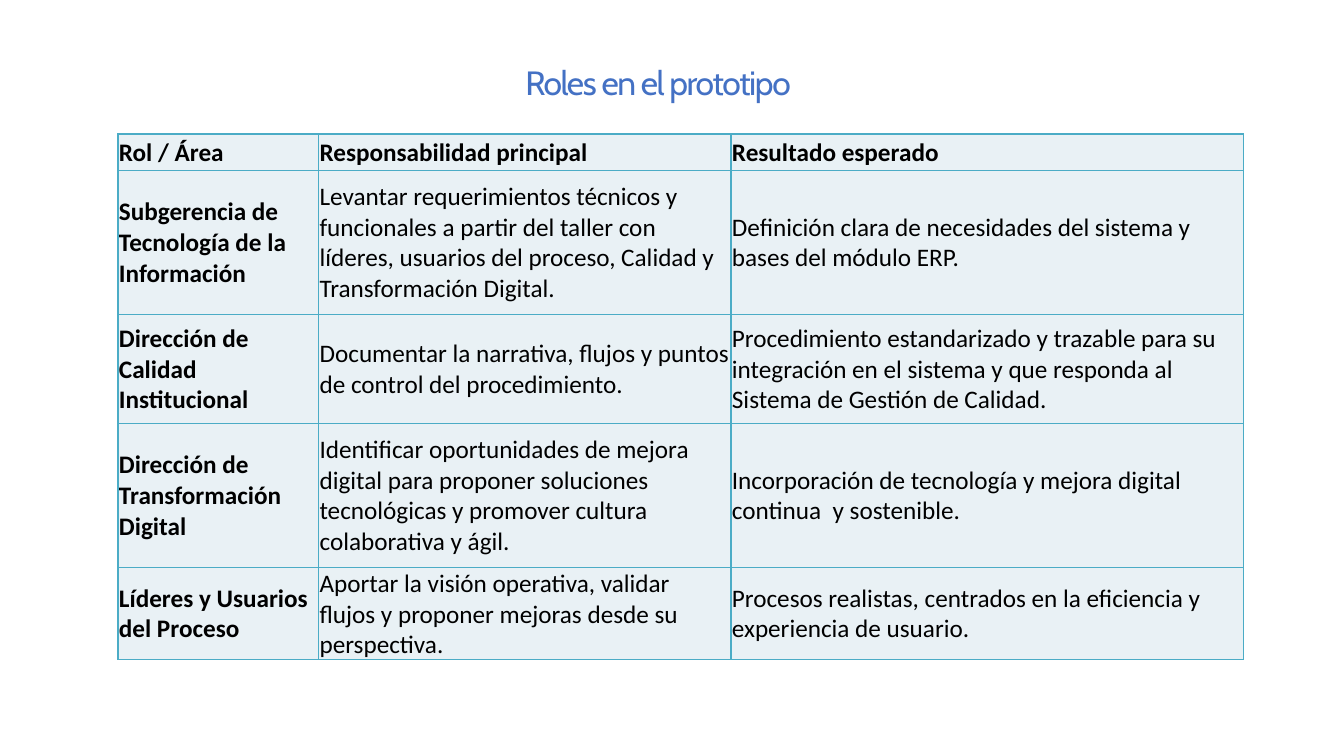
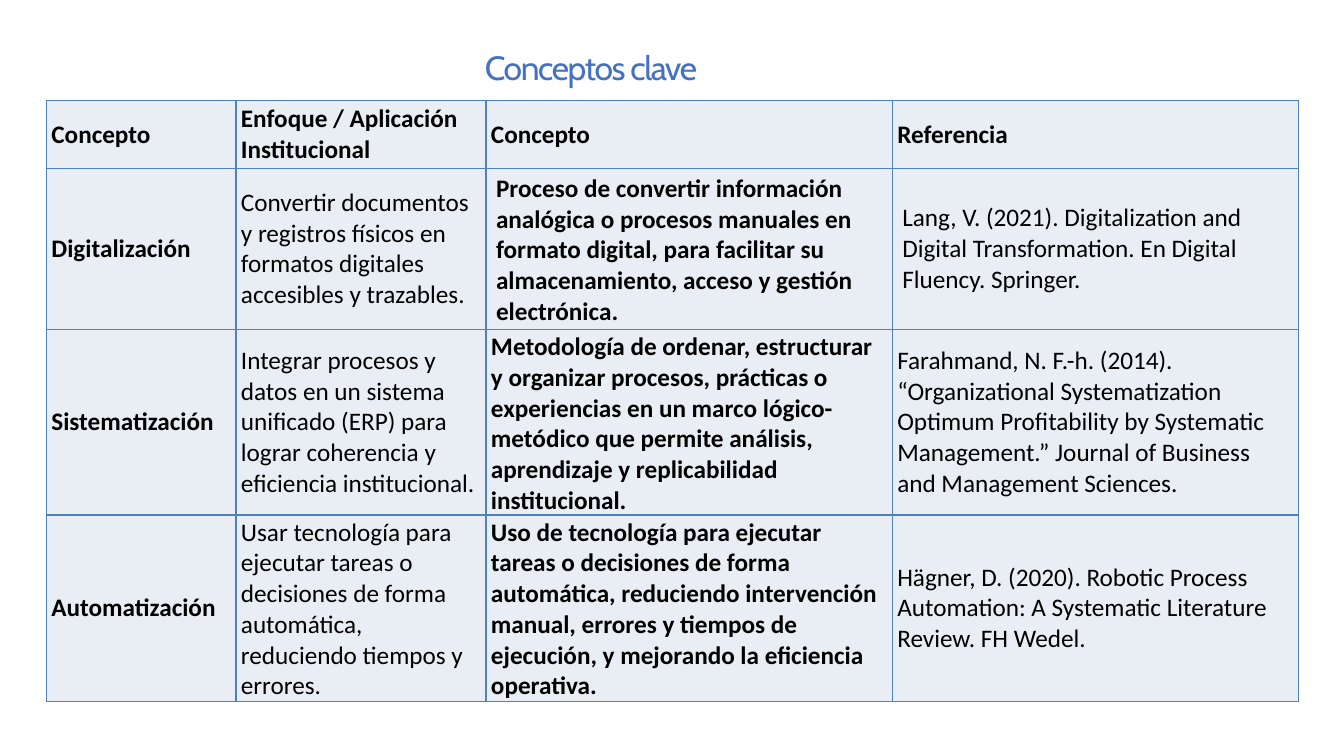
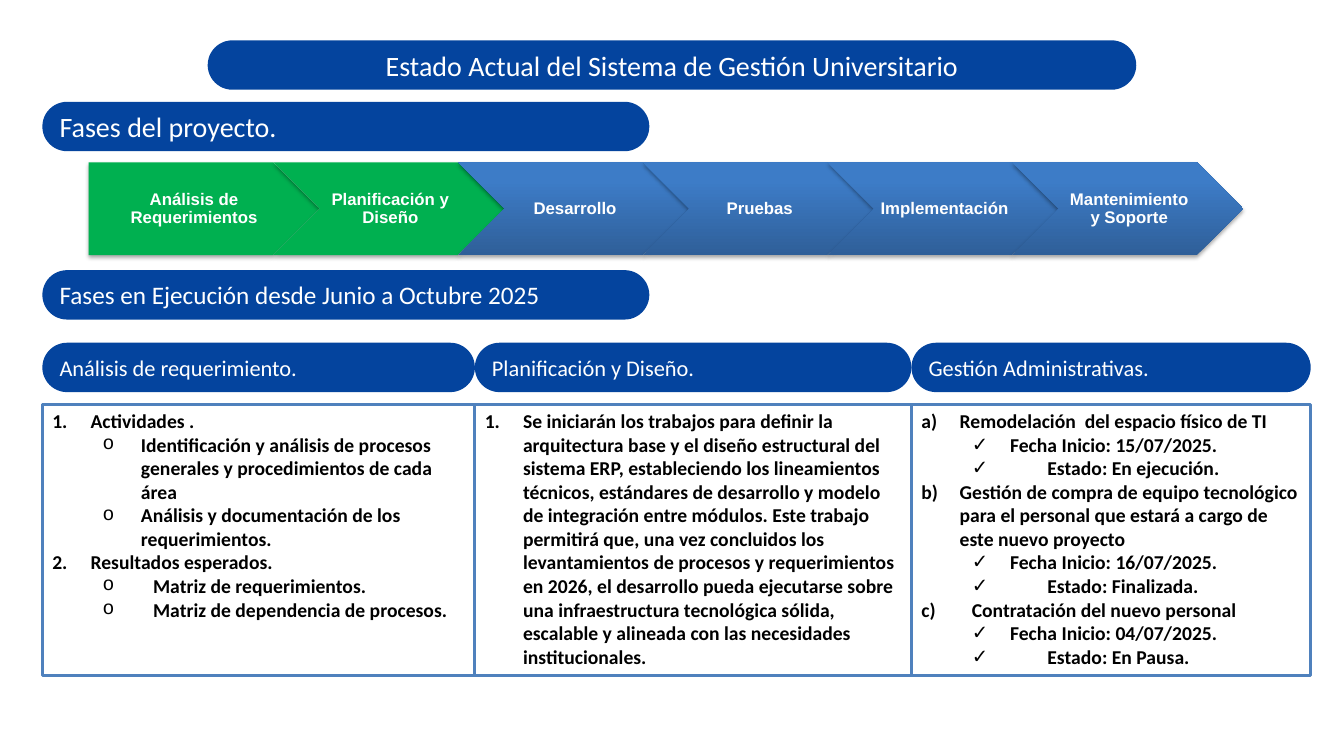
from lxml.etree import SubElement
from pptx import Presentation
from pptx.dml.color import RGBColor
from pptx.enum.shapes import MSO_SHAPE
from pptx.enum.text import MSO_ANCHOR, PP_ALIGN
from pptx.oxml import parse_xml
from pptx.oxml.ns import nsdecls, qn
from pptx.util import Inches, Pt

COLORS = {
    "title": "4471C4", "text": "000000", "white": "FFFFFF",
    "pill": "04449E", "border": "4F81BD", "done": "00B050",
    "pending_dark": "2F5F99", "pending_light": "3D7CC7",
    "roles_fill": "E9F1F5", "roles_border": "4BACC6", "concepts_fill": "E9EDF4",
}

ROLES = [
    ("Rol / Área", "Responsabilidad principal", "Resultado esperado"),
    ("Subgerencia de Tecnología de la Información",
     "Levantar requerimientos técnicos y funcionales a partir del taller con líderes, usuarios del proceso, Calidad y Transformación Digital.",
     "Definición clara de necesidades del sistema y bases del módulo ERP."),
    ("Dirección de Calidad Institucional",
     "Documentar la narrativa, flujos y puntos de control del procedimiento.",
     "Procedimiento estandarizado y trazable para su integración en el sistema y que responda al Sistema de Gestión de Calidad."),
    ("Dirección de Transformación Digital",
     "Identificar oportunidades de mejora digital para proponer soluciones tecnológicas y promover cultura colaborativa y ágil.",
     "Incorporación de tecnología y mejora digital continua  y sostenible."),
    ("Líderes y Usuarios del Proceso",
     "Aportar la visión operativa, validar flujos y proponer mejoras desde su perspectiva.",
     "Procesos realistas, centrados en la eficiencia y experiencia de usuario."),
]

CONCEPTS = [
    ("Concepto", "Enfoque / Aplicación Institucional", "Concepto", "Referencia"),
    ("Digitalización",
     "Convertir documentos y registros físicos en formatos digitales accesibles y trazables.",
     "Proceso de convertir información analógica o procesos manuales en formato digital, para facilitar su almacenamiento, acceso y gestión electrónica.",
     "Lang, V. (2021). Digitalization and Digital Transformation. En Digital Fluency. Springer."),
    ("Sistematización",
     "Integrar procesos y datos en un sistema unificado (ERP) para lograr coherencia y eficiencia institucional.",
     "Metodología de ordenar, estructurar y organizar procesos, prácticas o experiencias en un marco lógico-metódico que permite análisis, aprendizaje y replicabilidad institucional.",
     "Farahmand, N. F.-h. (2014). “Organizational Systematization Optimum Profitability by Systematic Management.” Journal of Business and Management Sciences."),
    ("Automatización",
     "Usar tecnología para ejecutar tareas o decisiones de forma automática, reduciendo tiempos y errores.",
     "Uso de tecnología para ejecutar tareas o decisiones de forma automática, reduciendo intervención manual, errores y tiempos de ejecución, y mejorando la eficiencia operativa.",
     "Hägner, D. (2020). Robotic Process Automation: A Systematic Literature Review. FH Wedel."),
]

TABLES = [
    {"title": "Roles en el prototipo", "title_at": (5.21, 0.52, 3.69),
     "rows": ROLES, "at": (1.17, 1.33), "widths": (1.99, 4.09, 5.08),
     "heights": (0.36, 1.43, 1.08, 1.43, 0.91), "bold_columns": (0,),
     "insets": (0.01, 0.01, 0.01, 0), "wide_cells": (),
     "fill": "roles_fill", "border": "roles_border"},
    {"title": "Conceptos clave", "title_at": (4.81, 0.37, 7.26),
     "rows": CONCEPTS, "at": (0.46, 1), "widths": (1.88, 2.48, 4.03, 4.03),
     "heights": (0.67, 1.6, 1.84, 1.85), "bold_columns": (0, 2),
     "insets": (0.05, 0.02, 0.05, 0.02), "wide_cells": ((1, 2), (1, 3)),
     "fill": "concepts_fill", "border": "border"},
]

PHASES = [
    ("Análisis de Requerimientos", True),
    ("Planificación y Diseño", True),
    ("Desarrollo", False),
    ("Pruebas", False),
    ("Implementación", False),
    ("Mantenimiento y Soporte", False),
]

BANNERS = [
    ("Estado Actual del Sistema de Gestión Universitario", 2.06, 0.4, 9.21, 20, PP_ALIGN.CENTER),
    ("Fases del proyecto.", 0.42, 1.01, 6.02, 20, PP_ALIGN.LEFT),
    ("Fases en Ejecución desde Junio a Octubre 2025", 0.42, 2.68, 6.02, 18, PP_ALIGN.LEFT),
]

LIST_STYLES = {
    "number": {"margin": 0.38, "hang": 0.38, "scheme": "arabicPeriod"},
    "letter": {"margin": 0.38, "hang": 0.38, "scheme": "alphaLcParenR"},
    "wide letter": {"margin": 0.5, "hang": 0.5, "scheme": "alphaLcParenR"},
    "circle": {"level": 1, "margin": 0.88, "hang": 0.38, "mark": "o", "face": "Courier New"},
    "wide circle": {"level": 2, "margin": 1, "hang": 0.5, "mark": "o", "face": "Courier New"},
    "check": {"level": 1, "margin": 0.88, "hang": 0.38, "mark": "✓", "face": "Arial"},
    "wide check": {"level": 1, "margin": 1.25, "hang": 0.75, "mark": "✓", "face": "Arial"},
}

PANELS = [
    ("Análisis de requerimiento.", 4.29, [
        ("number", "Actividades ."),
        ("circle", "Identificación y análisis de procesos generales y procedimientos de cada área"),
        ("circle", "Análisis y documentación de los requerimientos."),
        ("number", "Resultados esperados."),
        ("wide circle", "Matriz de requerimientos."),
        ("wide circle", "Matriz de dependencia de procesos."),
    ]),
    ("Planificación y Diseño.", 4.33, [
        ("number", "Se iniciarán los trabajos para definir la arquitectura base y el diseño estructural del sistema ERP, estableciendo los lineamientos técnicos, estándares de desarrollo y modelo de integración entre módulos. Este trabajo permitirá que, una vez concluidos los levantamientos de procesos y requerimientos en 2026, el desarrollo pueda ejecutarse sobre una infraestructura tecnológica sólida, escalable y alineada con las necesidades institucionales."),
    ]),
    ("Gestión Administrativas.", 3.96, [
        ("letter", "Remodelación  del espacio físico de TI"),
        ("check", "Fecha Inicio: 15/07/2025."),
        ("wide check", "Estado: En ejecución."),
        ("letter", "Gestión de compra de equipo tecnológico para el personal que estará a cargo de este nuevo proyecto"),
        ("check", "Fecha Inicio: 16/07/2025."),
        ("wide check", "Estado: Finalizada."),
        ("wide letter", "Contratación del nuevo personal"),
        ("check", "Fecha Inicio: 04/07/2025."),
        ("wide check", "Estado: En Pausa."),
    ]),
]


def color(name):
    return RGBColor.from_string(COLORS[name])


def shadow_effect(blur, distance, angle, opacity):
    return parse_xml(
        f'<a:effectLst {nsdecls("a")}><a:outerShdw blurRad="{Pt(blur)}" dist="{Pt(distance)}" '
        f'dir="{angle * 60000}" algn="tl" rotWithShape="0"><a:srgbClr val="000000">'
        f'<a:alpha val="{opacity * 1000}"/></a:srgbClr></a:outerShdw></a:effectLst>')


def write(para, text, size=18, font="Calibri", ink="text", bold=False,
          align=PP_ALIGN.LEFT, spacing=None, tracking=None, shadow=False):
    para.alignment = align
    if spacing:
        para.line_spacing = spacing
    span = para.add_run()
    span.text = text
    span.font.size = Pt(size)
    span.font.bold = bold
    span.font.color.rgb = color(ink)
    span.font.name = font
    properties = span.font._element
    if tracking:
        properties.set("spc", str(tracking))
    if shadow:
        properties.find(qn("a:solidFill")).addnext(shadow_effect(3, 3, 45, 100))


def set_insets(target, insets):
    sides = ("margin_left", "margin_top", "margin_right", "margin_bottom")
    for side, inset in zip(sides, insets):
        setattr(target, side, Inches(inset))


def add_box(page, kind, left, top, width, height, fill=None, line=None):
    box = page.shapes.add_shape(kind, Inches(left), Inches(top), Inches(width), Inches(height))
    box.shadow.inherit = False
    if fill:
        box.fill.solid()
        box.fill.fore_color.rgb = color(fill)
    if line:
        box.line.color.rgb = color(line)
        box.line.width = Pt(2)
    else:
        box.line.fill.background()
    box.text_frame.word_wrap = True
    return box


def add_pill(page, text, left, top, width, size, align=PP_ALIGN.LEFT):
    pill = add_box(page, MSO_SHAPE.ROUNDED_RECTANGLE, left, top, width, 0.49, "pill")
    pill.adjustments[0] = 0.5
    pill.text_frame.vertical_anchor = MSO_ANCHOR.MIDDLE
    write(pill.text_frame.paragraphs[0], text, size=size, ink="white", align=align, shadow=True)


def add_title(page, text, left, top, width):
    box = page.shapes.add_textbox(Inches(left), Inches(top), Inches(width), Inches(0.48))
    box.text_frame.word_wrap = True
    set_insets(box.text_frame, (0, 0.09, 0, 0))
    write(box.text_frame.paragraphs[0], text, size=24, font="Cabin", ink="title", tracking=-100)


def add_cell_borders(cell, name):
    properties = cell._tc.get_or_add_tcPr()
    for index, side in enumerate(("lnL", "lnR", "lnT", "lnB")):
        properties.insert(index, parse_xml(
            f'<a:{side} {nsdecls("a")} w="{Pt(1)}"><a:solidFill>'
            f'<a:srgbClr val="{COLORS[name]}"/></a:solidFill></a:{side}>'))


def add_grid(page, grid):
    rows, widths, heights = grid["rows"], grid["widths"], grid["heights"]
    left, top = grid["at"]
    table = page.shapes.add_table(len(rows), len(widths), Inches(left), Inches(top),
                                  Inches(sum(widths)), Inches(sum(heights))).table
    table.first_row = table.horz_banding = False
    for column, width in zip(table.columns, widths):
        column.width = Inches(width)
    for row, height in zip(table.rows, heights):
        row.height = Inches(height)
    for i, texts in enumerate(rows):
        for j, text in enumerate(texts):
            cell = table.cell(i, j)
            wide = (i, j) in grid["wide_cells"]
            set_insets(cell, (0.1, 0.05, 0.1, 0.05) if wide else grid["insets"])
            cell.vertical_anchor = MSO_ANCHOR.MIDDLE
            cell.fill.solid()
            cell.fill.fore_color.rgb = color(grid["fill"])
            add_cell_borders(cell, grid["border"])
            write(cell.text_frame.paragraphs[0], text, bold=i == 0 or j in grid["bold_columns"])


def add_phase(page, index, text, done):
    width, height = 2.29, 0.92
    kind = MSO_SHAPE.CHEVRON if index else MSO_SHAPE.PENTAGON
    arrow = add_box(page, kind, 0.88 + index * width * 0.8, 1.61, width, height,
                    "done" if done else None)
    if not done:
        arrow.fill.gradient()
        arrow.fill.gradient_angle = 90
        stops = zip(arrow.fill.gradient_stops, ("pending_dark", "pending_light"), (0, 0.8))
        for stop, name, position in stops:
            stop.color.rgb = color(name)
            stop.position = position
    effects = arrow._element.spPr.find(qn("a:effectLst"))
    effects.getparent().replace(effects, shadow_effect(3.1, 1.8, 90, 35))
    frame = arrow.text_frame
    frame.vertical_anchor = MSO_ANCHOR.MIDDLE
    set_insets(frame, (0.05, 0.04, 0.02, 0.04))
    write(frame.paragraphs[0], text, size=12, font="Arial", ink="white", bold=True,
          align=PP_ALIGN.CENTER, spacing=0.9)


def add_marker(para, style, number):
    para.level = style.get("level", 0)
    properties = para._p.get_or_add_pPr()
    properties.set("marL", str(Inches(style["margin"])))
    properties.set("indent", str(-Inches(style["hang"])))
    if "scheme" in style:
        SubElement(properties, qn("a:buAutoNum"), type=style["scheme"], startAt=str(number))
    else:
        SubElement(properties, qn("a:buFont"), typeface=style["face"])
        SubElement(properties, qn("a:buChar"), char=style["mark"])


def add_panel(page, heading, left, width, items):
    add_pill(page, heading, left, 3.4, width, 16)
    box = add_box(page, MSO_SHAPE.RECTANGLE, left, 4.01, width, 2.69, "white", "border")
    frame = box.text_frame
    frame.vertical_anchor = MSO_ANCHOR.TOP
    number = 0
    for index, (kind, text) in enumerate(items):
        para = frame.add_paragraph() if index else frame.paragraphs[0]
        style = LIST_STYLES[kind]
        number += "scheme" in style
        add_marker(para, style, number)
        write(para, text, size=14, bold=True)


def main():
    deck = Presentation()
    deck.slide_width, deck.slide_height = Inches(13.33), Inches(7.5)
    blank = deck.slide_layouts[6]
    for grid in TABLES:
        page = deck.slides.add_slide(blank)
        add_title(page, grid["title"], *grid["title_at"])
        add_grid(page, grid)
    page = deck.slides.add_slide(blank)
    for banner in BANNERS:
        add_pill(page, *banner)
    for index, (text, done) in enumerate(PHASES):
        add_phase(page, index, text, done)
    left = 0.42
    for heading, width, items in PANELS:
        add_panel(page, heading, left, width, items)
        left += width
    deck.save("out.pptx")


if __name__ == "__main__":
    main()
